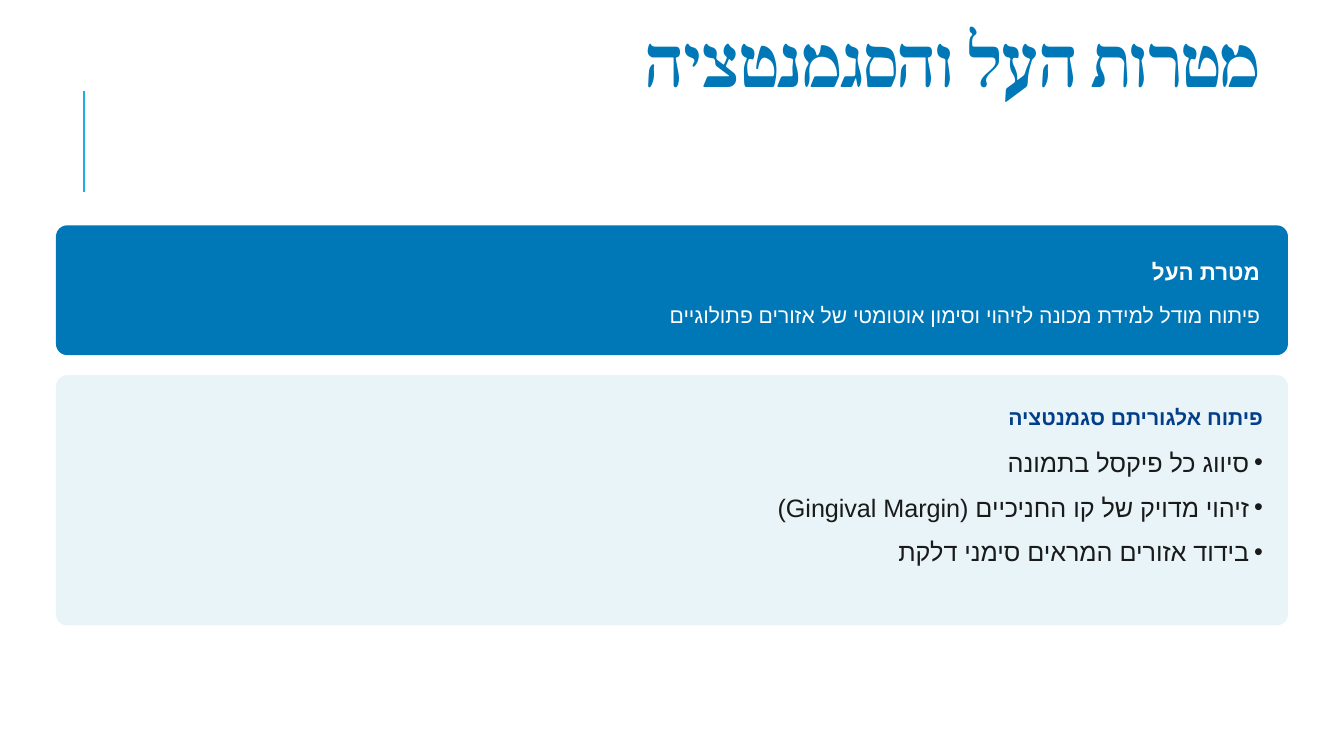
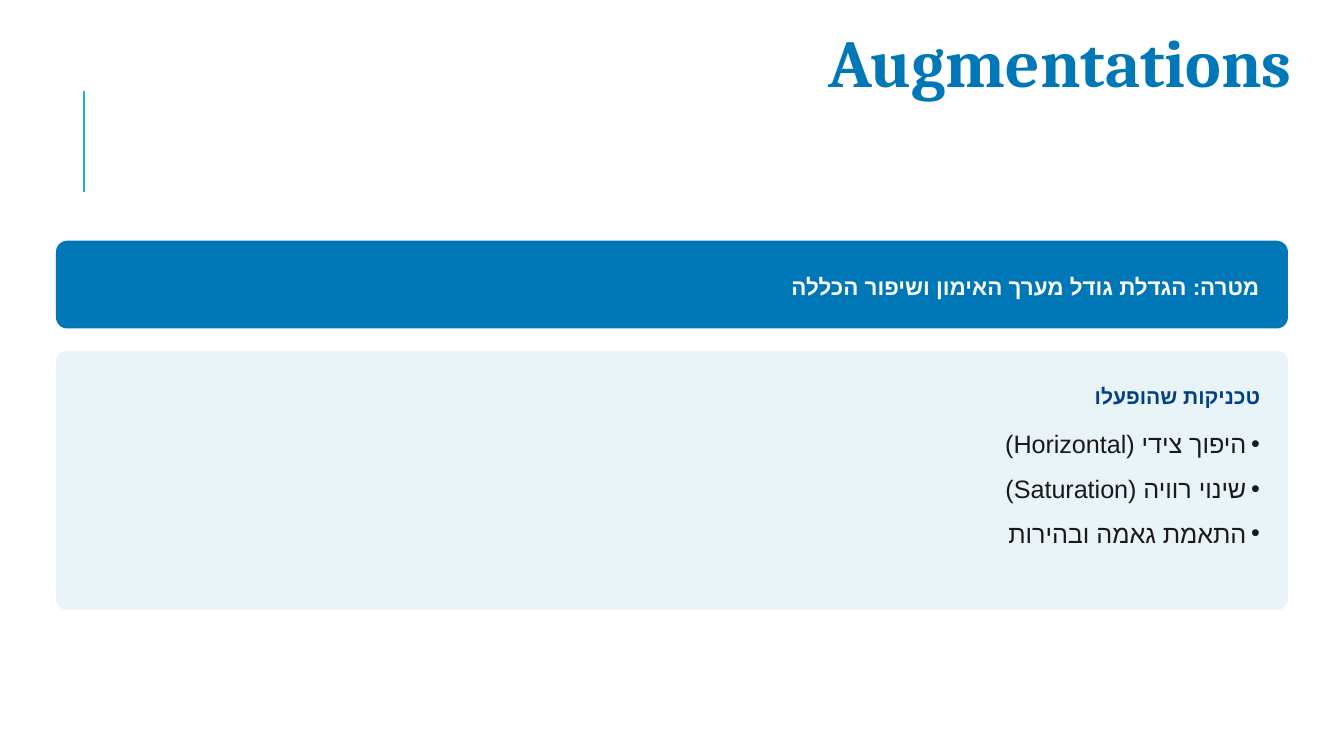
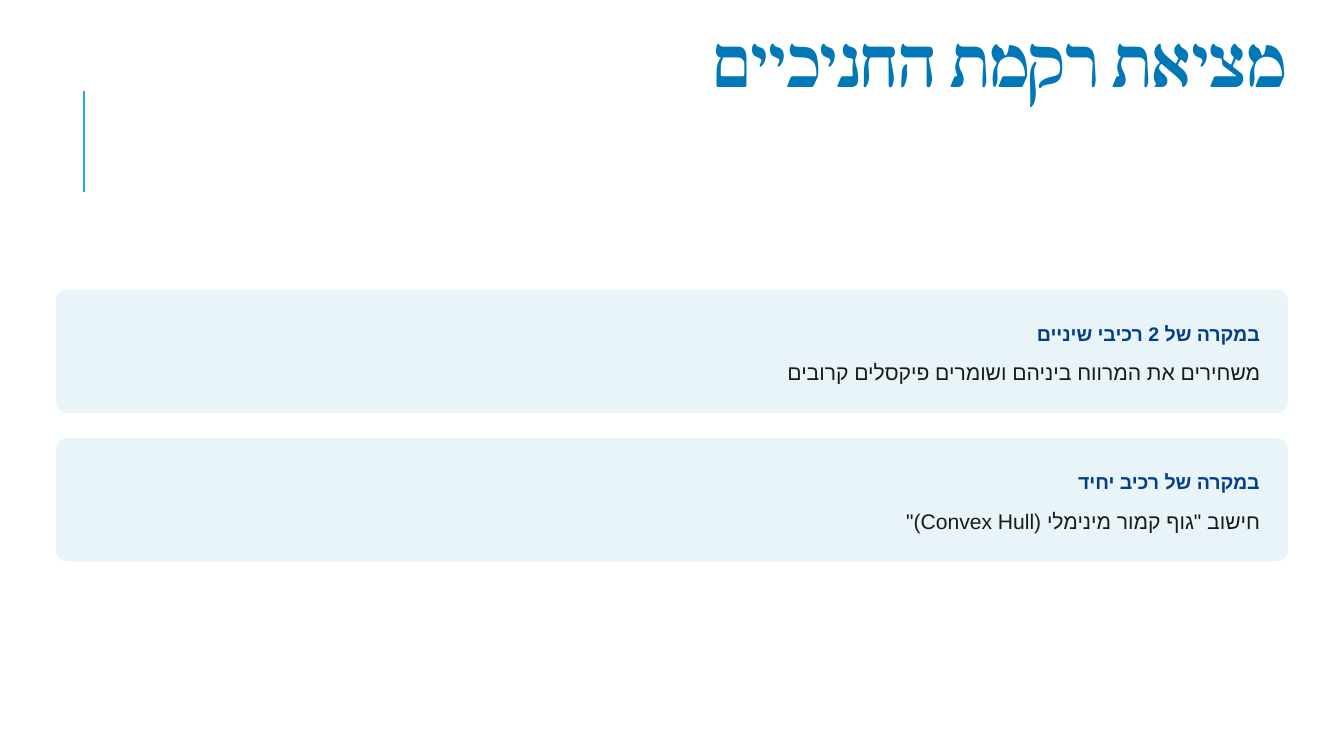
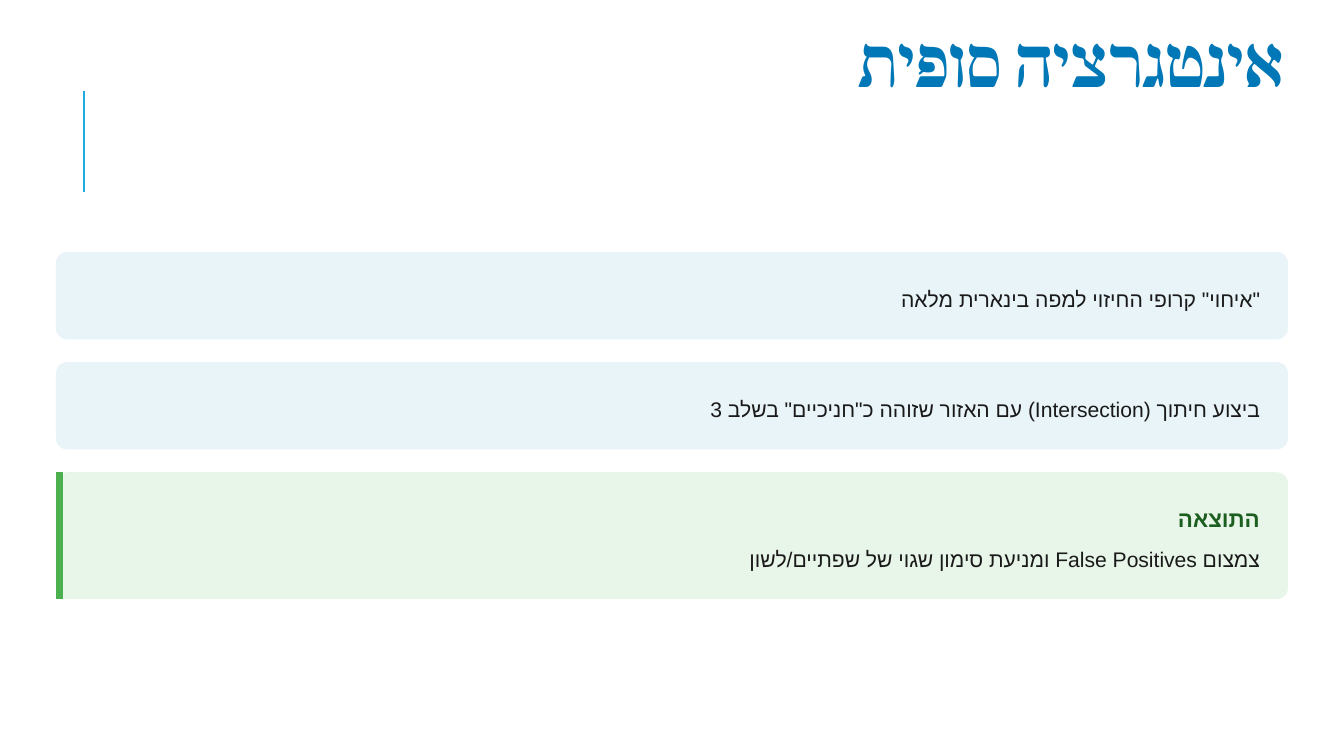
from dataclasses import dataclass
from typing import Optional

from lxml.etree import SubElement
from pptx import Presentation
from pptx.dml.color import RGBColor
from pptx.enum.shapes import MSO_CONNECTOR, MSO_SHAPE
from pptx.enum.text import MSO_ANCHOR, MSO_AUTO_SIZE, PP_ALIGN
from pptx.oxml.ns import qn
from pptx.util import Pt

COLORS = {
    "primary": "0077B6",
    "rule": "1CADE4",
    "pale": "E8F4F8",
    "heading": "023E8A",
    "ink": "1A1A1A",
    "white": "FFFFFF",
    "mint": "E8F5E9",
    "green": "4CAF50",
    "forest": "1B5E20",
}
CARD_LEFT, CARD_WIDTH, CARD_RADIUS = 30, 660, 6
TEXT_LEFT = 32.5
TITLE_HEIGHT = 61
LIST_LEFT, LIST_HEIGHT, LIST_INDENT = 44, 87, 7.2
BODY_SIZE, BODY_LEADING = 11.25, 16.9
HEADING_LEADING = 1.4
TITLE_ONLY, TITLE_AND_CONTENT = 5, 1


@dataclass(frozen=True)
class CardStyle:
    fill: str
    heading: str
    body: str
    accent: Optional[str] = None


@dataclass(frozen=True)
class Card:
    top: float
    height: float
    style: CardStyle
    heading: str = ""
    heading_size: float = 12
    gap: float = 4.5
    body: str = ""
    bullets: tuple[str, ...] = ()
    padding: float = 15


@dataclass(frozen=True)
class Page:
    title: str
    title_left: float
    title_right: float
    cards: tuple[Card, ...]
    rtl: bool = True


STRONG = CardStyle("primary", "white", "white")
SOFT = CardStyle("pale", "heading", "ink")
RESULT = CardStyle("mint", "forest", "ink", accent="green")

PAGES = (
    Page("מטרות העל והסגמנטציה", 318, 689.75, (
        Card(120.75, 69.5, STRONG, "מטרת העל", gap=6,
             body="פיתוח מודל למידת מכונה לזיהוי וסימון אוטומטי של אזורים פתולוגיים"),
        Card(201, 134, SOFT, "פיתוח אלגוריתם סגמנטציה", 11.25, padding=13.5, bullets=(
            "סיווג כל פיקסל בתמונה",
            "זיהוי מדויק של קו החניכיים (Gingival Margin)",
            "בידוד אזורים המראים סימני דלקת",
        )),
    )),
    Page("Augmentations", 382, 707, (
        Card(129, 47, STRONG, "מטרה: הגדלת גודל מערך האימון ושיפור הכללה"),
        Card(188, 138.75, SOFT, "טכניקות שהופעלו", 11.25, gap=6, bullets=(
            "היפוך צידי (Horizontal)",
            "שינוי רוויה (Saturation)",
            "התאמת גאמה ובהירות",
        )),
    ), rtl=False),
    Page("מציאת רקמת החניכיים", 233, 704, (
        Card(155.25, 66, SOFT, "במקרה של 2 רכיבי שיניים", 10.5,
             body="משחירים את המרווח ביניהם ושומרים פיקסלים קרובים"),
        Card(234.75, 66, SOFT, "במקרה של רכיב יחיד", 10.5,
             body='חישוב "גוף קמור מינימלי (Convex Hull)"'),
    )),
    Page("אינטגרציה סופית", 315, 703.5, (
        Card(135, 46.75, SOFT, body='"איחוי" קרופי החיזוי למפה בינארית מלאה'),
        Card(194, 46.75, SOFT,
             body='ביצוע חיתוך (Intersection) עם האזור שזוהה כ"חניכיים" בשלב 3'),
        Card(253, 68, RESULT, "התוצאה",
             body="צמצום False Positives ומניעת סימון שגוי של שפתיים/לשון"),
    )),
)


def color(name: str) -> RGBColor:
    return RGBColor.from_string(COLORS[name])


def place(shape, left: float, top: float, width: float, height: float) -> None:
    shape.left, shape.top = Pt(left), Pt(top)
    shape.width, shape.height = Pt(width), Pt(height)


def write_text(box, *texts: str, size: float, leading: float, ink: str,
               font: str = "Arial", bold: bool = False, rtl: bool = True,
               bullet: bool = False, after: float = 0,
               insets: tuple[float, float, float, float] = (0, 0, 0, 0)) -> None:
    """Fill a shape with right-aligned paragraphs; insets are left, top, right, bottom."""
    frame = box.text_frame
    frame.word_wrap = True
    frame.auto_size = MSO_AUTO_SIZE.NONE
    frame.vertical_anchor = MSO_ANCHOR.TOP
    (frame.margin_left, frame.margin_top,
     frame.margin_right, frame.margin_bottom) = map(Pt, insets)
    for index, text in enumerate(texts):
        para = frame.add_paragraph() if index else frame.paragraphs[0]
        para.alignment = PP_ALIGN.RIGHT
        para.line_spacing = Pt(leading)
        para.space_before, para.space_after = Pt(0), Pt(after)
        properties = para._p.get_or_add_pPr()
        properties.set("rtl", str(int(rtl)))
        if bullet:
            properties.set("marL", str(Pt(LIST_INDENT)))
            properties.set("indent", str(-Pt(LIST_INDENT)))
            SubElement(properties, qn("a:buChar"), char="•")
        span = para.add_run()
        span.text = text
        span.font.name, span.font.size, span.font.bold = font, Pt(size), bold
        span.font.color.rgb = color(ink)
        SubElement(span._r.get_or_add_rPr(), qn("a:cs"), typeface=font)


def add_vertical_line(slide, x: float, top: float, bottom: float, ink: str, weight: float):
    line = slide.shapes.add_connector(
        MSO_CONNECTOR.STRAIGHT, Pt(x), Pt(top), Pt(x), Pt(bottom))
    line.line.color.rgb = color(ink)
    line.line.width = Pt(weight)
    SubElement(line.element.spPr, qn("a:effectLst"))
    return line


def add_text_line(slide, text: str, top: float, right: float, leading: float, **style) -> None:
    box = slide.shapes.add_textbox(
        Pt(TEXT_LEFT), Pt(top), Pt(right - TEXT_LEFT), Pt(leading))
    write_text(box, text, leading=leading, **style)


def add_bullets(slide, bullets: tuple[str, ...], top: float, right: float, ink: str) -> None:
    body = slide.placeholders[1]
    place(body, LIST_LEFT, top, right - LIST_LEFT, LIST_HEIGHT)
    write_text(body, *bullets, size=13.5, leading=21, ink=ink, bullet=True, after=3,
               insets=(LIST_INDENT, 0, 0, 0))
    slide.shapes.element.append(body.element)  # bring above the card


def add_card(slide, card: Card) -> None:
    """Draw a card and stack its heading, then its sentence or list."""
    panel = slide.shapes.add_shape(
        MSO_SHAPE.ROUNDED_RECTANGLE,
        Pt(CARD_LEFT), Pt(card.top), Pt(CARD_WIDTH), Pt(card.height))
    panel.adjustments[0] = CARD_RADIUS / card.height
    panel.shadow.inherit = False
    panel.fill.solid()
    panel.fill.fore_color.rgb = color(card.style.fill)
    panel.line.fill.background()
    if card.style.accent:
        weight = 3.75
        add_vertical_line(slide, CARD_LEFT + weight / 2, card.top,
                          card.top + card.height, card.style.accent, weight)

    top = card.top + card.padding
    right = CARD_LEFT + CARD_WIDTH - card.padding
    if card.heading:
        leading = card.heading_size * HEADING_LEADING
        add_text_line(slide, card.heading, top, right, leading,
                      size=card.heading_size, ink=card.style.heading, bold=True)
        top += leading + card.gap
    if card.body:
        add_text_line(slide, card.body, top, right, BODY_LEADING,
                      size=BODY_SIZE, ink=card.style.body)
    if card.bullets:
        add_bullets(slide, card.bullets, top, right, card.style.body)


def add_page(deck, page: Page):
    has_list = any(card.bullets for card in page.cards)
    layout = deck.slide_layouts[TITLE_AND_CONTENT if has_list else TITLE_ONLY]
    slide = deck.slides.add_slide(layout)
    title = slide.shapes.title
    place(title, page.title_left, 0, page.title_right - page.title_left, TITLE_HEIGHT)
    write_text(title, page.title, size=36, leading=36, ink="primary", font="Cambria",
               bold=True, rtl=page.rtl, insets=(15, 18, 15, 7.5))
    for card in page.cards:
        add_card(slide, card)
    return slide


def main() -> None:
    deck = Presentation()
    deck.slide_width, deck.slide_height = Pt(720), Pt(405)
    slides = [add_page(deck, page) for page in PAGES]
    rule = add_vertical_line(slides[0], 45, 49, 103, "rule", 1.5)
    deck.slide_master.shapes.element.append(rule.element)  # shared by every slide
    deck.save("out.pptx")


if __name__ == "__main__":
    main()
